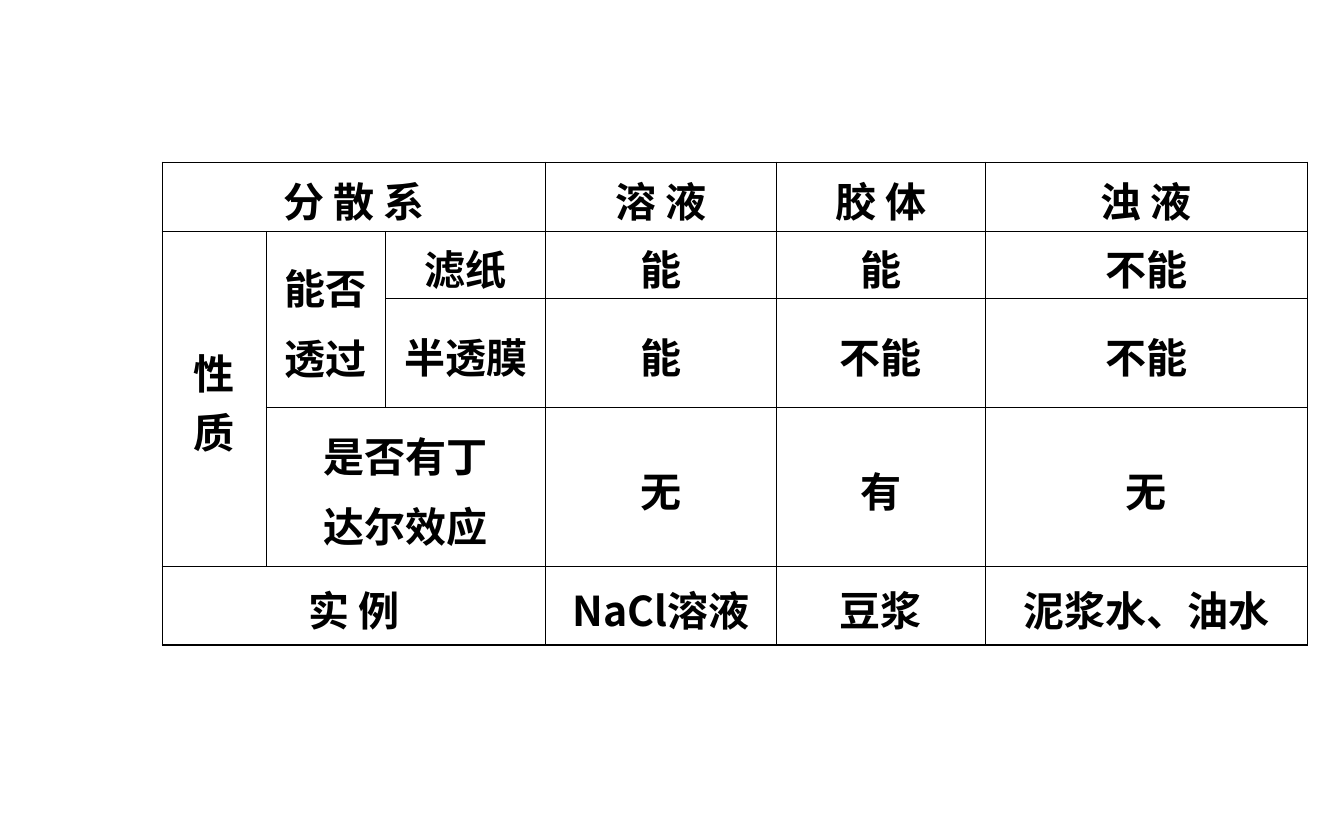
from lxml.etree import SubElement
from pptx import Presentation
from pptx.dml.color import RGBColor
from pptx.enum.text import MSO_ANCHOR, PP_ALIGN
from pptx.oxml.ns import qn
from pptx.util import Inches, Pt

CJK_FONT = "Noto Sans CJK SC"
BLACK = "000000"
COLUMN_WIDTHS = [0.77, 0.89, 1.19, 1.72, 1.55, 2.4]
ROW_HEIGHTS = [0.51, 0.5, 0.81, 1.18, 0.59]
OUTER_LINE, INNER_LINE = 1.08, 0.45

# Empty strings are covered by a merged cell
ROWS = [
    ["分 散 系", "", "", "溶 液", "胶 体", "浊 液"],
    ["性质", "能否\n透过", "滤纸", "能", "能", "不能"],
    ["", "", "半透膜", "能", "不能", "不能"],
    ["", "是否有丁\n达尔效应", "", "无", "有", "无"],
    ["实 例", "", "", "NaCl溶液", "豆浆", "泥浆水、油水"],
]
# First cell of each merged area: (rows, columns)
SPANS = {(0, 0): (1, 3), (1, 0): (3, 1), (1, 1): (2, 1), (3, 1): (1, 2), (4, 0): (1, 3)}


def color(hex_code):
    return RGBColor.from_string(hex_code)


def add_border(cell, side, width):
    line = SubElement(cell._tc.get_or_add_tcPr(), qn(f"a:ln{side}"), w=str(Pt(width)))
    fill = SubElement(line, qn("a:solidFill"))
    SubElement(fill, qn("a:srgbClr"), val=BLACK)


deck = Presentation()
deck.slide_width, deck.slide_height = Inches(10), Inches(6.25)
page = deck.slides.add_slide(deck.slide_layouts[6])

# Table grid without a banded style
frame = page.shapes.add_table(
    len(ROWS), len(COLUMN_WIDTHS), Inches(1.21), Inches(1.21),
    Inches(sum(COLUMN_WIDTHS)), Inches(sum(ROW_HEIGHTS)))
table = frame.table
table.first_row = table.horz_banding = False
table._tbl.tblPr.find(qn("a:tableStyleId")).text = "{2D5ABB26-0587-4C30-8999-92F81FD0307C}"
for column, width in zip(table.columns, COLUMN_WIDTHS):
    column.width = Inches(width)
for row, height in zip(table.rows, ROW_HEIGHTS):
    row.height = Inches(height)

# Merged areas, with the first cell that owns each grid place
owners = {(r, c): (r, c) for r in range(len(ROWS)) for c in range(len(COLUMN_WIDTHS))}
for (top, left), (height, width) in SPANS.items():
    table.cell(top, left).merge(table.cell(top + height - 1, left + width - 1))
    for r in range(top, top + height):
        for c in range(left, left + width):
            owners[r, c] = (top, left)

for (r, c), owner in owners.items():
    cell = table.cell(r, c)

    # Borders: thick outside, thin inside, none within a merged area
    neighbours = {"L": (r, c - 1), "R": (r, c + 1), "T": (r - 1, c), "B": (r + 1, c)}
    for side, place in neighbours.items():
        if owners.get(place) != owner:
            add_border(cell, side, INNER_LINE if place in owners else OUTER_LINE)
    cell.fill.background()

    # A small bottom margin lets the text fit the low rows
    cell.margin_bottom = Inches(0.01)
    font_name = "Arial" if ROWS[r][c] == "性质" else CJK_FONT
    cell.vertical_anchor = MSO_ANCHOR.MIDDLE
    cell.text = ROWS[r][c]
    for index, paragraph in enumerate(cell.text_frame.paragraphs):
        paragraph.alignment = PP_ALIGN.CENTER
        if index:
            paragraph.space_before = Pt(5.5)
        font = paragraph.font
        font.name = font_name
        font.size, font.bold = Pt(22), True
        font.color.rgb = color(BLACK)
        SubElement(font._element, qn("a:ea"), typeface=CJK_FONT)

deck.save("out.pptx")
